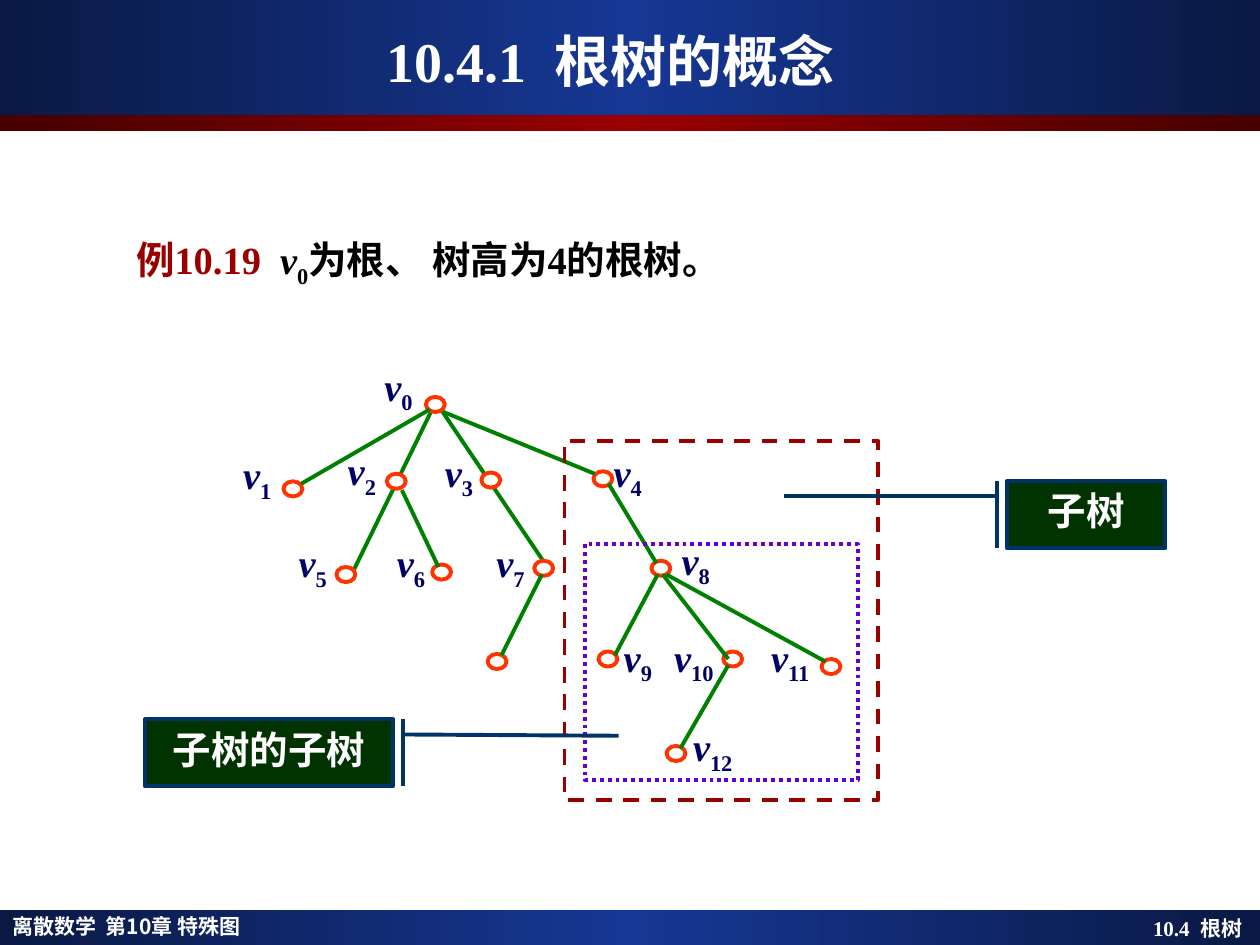
import copy
from dataclasses import dataclass

import lxml.etree
import pptx
import pptx.dml.color
import pptx.enum.dml
import pptx.enum.shapes
import pptx.enum.text
import pptx.oxml.ns
import pptx.util

Inches = pptx.util.Inches
Pt = pptx.util.Pt
SHAPE = pptx.enum.shapes.MSO_SHAPE
ALIGN = pptx.enum.text.PP_ALIGN
ANCHOR = pptx.enum.text.MSO_ANCHOR
DASH = pptx.enum.dml.MSO_LINE
qn = pptx.oxml.ns.qn

COLORS = {
    "navy": "0A1944", "blue": "163794", "maroon": "460000", "red": "990000",
    "white": "FFFFFF", "black": "000000", "label": "000066", "edge": "008000",
    "ring": "FF3300", "dots": "6600CC", "green": "003300", "frame": "003366",
}
ROMAN = "Times New Roman"
HAN = "Noto Sans CJK SC"
HAN_JP = "Noto Sans CJK JP"


@dataclass
class Piece:
    text: str
    color: str = "white"
    size: float = 22
    font: str = ROMAN
    slant: bool = False
    low: bool = False


@dataclass
class Band:
    top: float
    height: float
    rim: str
    core: str


@dataclass
class Node:
    left: float
    top: float


@dataclass
class Label:
    left: float
    top: float
    index: str


@dataclass
class Edge:
    x1: float
    y1: float
    x2: float
    y2: float


@dataclass
class Frame:
    box: tuple[float, float, float, float]
    color: str
    dash: DASH


@dataclass
class Callout:
    text: str
    box: tuple[float, float, float, float]
    start: tuple[float, float]
    end: tuple[float, float]


BANDS = [
    Band(7.22, 0.28, "navy", "blue"),
    Band(0, 0.91, "navy", "blue"),
    Band(0.91, 0.13, "maroon", "red"),
]
LONG = [Edge(3.42, 3.27, 2.8, 4.54), Edge(3.5, 3.25, 4.33, 4.48)]
SHORT = [
    Edge(3.41, 3.25, 2.39, 3.84), Edge(3.19, 3.89, 3.48, 4.5),
    Edge(3.52, 3.27, 4.72, 3.76), Edge(4.3, 4.56, 3.98, 5.2),
    Edge(4.83, 3.84, 5.21, 4.47), Edge(5.22, 4.56, 4.88, 5.2),
    Edge(5.26, 4.56, 5.78, 5.23), Edge(5.29, 4.56, 6.55, 5.25),
    Edge(5.78, 5.28, 5.4, 5.94),
]
NODES = [
    Node(3.38, 3.15), Node(2.25, 3.82), Node(3.07, 3.76), Node(3.82, 3.75),
    Node(4.71, 3.74), Node(2.67, 4.5), Node(3.43, 4.48), Node(4.24, 4.45),
    Node(5.17, 4.45), Node(3.87, 5.19), Node(4.75, 5.17), Node(5.74, 5.17),
    Node(6.52, 5.23), Node(5.29, 5.92),
]
LABELS = [
    Label(2.97, 2.88, "0"), Label(1.85, 3.58, "1"), Label(2.68, 3.55, "2"),
    Label(3.45, 3.56, "3"), Label(4.79, 3.56, "4"), Label(2.29, 4.28, "5"),
    Label(3.07, 4.28, "6"), Label(3.86, 4.28, "7"), Label(5.33, 4.26, "8"),
    Label(4.87, 5.03, "9"), Label(5.27, 5.03, "10"), Label(6.04, 5.03, "11"),
    Label(5.42, 5.74, "12"),
]
FRAMES = [
    Frame((4.64, 4.32, 2.17, 1.87), "dots", DASH.ROUND_DOT),
    Frame((4.48, 3.5, 2.49, 2.85), "red", DASH.DASH),
]
CALLOUTS = [
    Callout("子树", (7.99, 3.82, 1.26, 0.53), (7.91, 3.94), (6.22, 3.94)),
    Callout("子树的子树", (1.15, 5.71, 1.97, 0.53), (3.2, 5.83), (4.91, 5.84)),
]


def tint(name: str) -> pptx.dml.color.RGBColor:
    return pptx.dml.color.RGBColor.from_string(COLORS[name])


def add_shape(slide, kind, box, fill=None, line=None):
    shape = slide.shapes.add_shape(kind, *map(Inches, box))
    shape.shadow.inherit = False
    if fill:
        shape.fill.solid()
        shape.fill.fore_color.rgb = tint(fill)
    else:
        shape.fill.background()
    if line:
        shape.line.color.rgb = tint(line)
        shape.line.width = Pt(2.25)
    else:
        shape.line.fill.background()
    return shape


def write(frame, pieces: list[Piece], align=ALIGN.LEFT, space: float = 1.0,
          pads=(0.1, 0.05, 0.1, 0.05), anchor=ANCHOR.TOP) -> None:
    frame.word_wrap = True
    frame.vertical_anchor = anchor
    (frame.margin_left, frame.margin_top,
     frame.margin_right, frame.margin_bottom) = map(Inches, pads)
    para = frame.paragraphs[0]
    para.alignment = align
    para.line_spacing = space
    for piece in pieces:
        run = para.add_run()
        run.text = piece.text
        font = run.font
        font.size = Pt(piece.size)
        font.name = piece.font
        font.bold = True
        font.italic = piece.slant
        font.color.rgb = tint(piece.color)
        props = run._r.get_or_add_rPr()
        face = HAN if piece.font == ROMAN else piece.font
        lxml.etree.SubElement(props, qn("a:ea")).set("typeface", face)
        if piece.low:
            props.set("baseline", "-25000")


def add_text(slide, box, pieces: list[Piece], **style) -> None:
    write(slide.shapes.add_textbox(*map(Inches, box)).text_frame, pieces, **style)


def add_band(slide, band: Band) -> None:
    shape = add_shape(slide, SHAPE.RECTANGLE, (0, band.top, 10, band.height))
    shape.fill.gradient()
    shape.fill.gradient_angle = 0
    stops = shape._element.spPr.find(".//" + qn("a:gsLst"))
    stops.insert(1, copy.deepcopy(stops[0]))
    names = (band.rim, band.core, band.rim)
    for stop, name, place in zip(shape.fill.gradient_stops, names, (0, 0.5, 1)):
        stop.color.rgb = tint(name)
        stop.position = place


def add_edge(slide, edge: Edge) -> None:
    ends = map(Inches, (edge.x1, edge.y1, edge.x2, edge.y2))
    line = slide.shapes.add_connector(pptx.enum.shapes.MSO_CONNECTOR.STRAIGHT, *ends)
    line.line.color.rgb = tint("edge")
    line.line.width = Pt(2.25)
    lxml.etree.SubElement(line._element.spPr, qn("a:effectLst"))


def add_callout(slide, call: Callout) -> None:
    kind = SHAPE.LINE_CALLOUT_1_BORDER_AND_ACCENT_BAR
    shape = add_shape(slide, kind, call.box, "green", "frame")
    left, top, width, height = call.box
    for i, (x, y) in enumerate((call.start, call.end)):
        shape.adjustments[2 * i] = (y - top) / height
        shape.adjustments[2 * i + 1] = (x - left) / width
    write(shape.text_frame, [Piece(call.text, font=HAN)], align=ALIGN.CENTER)


def main() -> None:
    deck = pptx.Presentation()
    deck.slide_width, deck.slide_height = Inches(10), Inches(7.5)
    slide = deck.slides.add_slide(deck.slide_layouts[6])
    for band in BANDS:
        add_band(slide, band)
    add_text(slide, (0, 7.22, 4.13, 0.28),
             [Piece("离散数学  第10章 特殊图", size=12, font=HAN_JP)], space=0.9)
    add_text(slide, (0.33, 0.17, 9.25, 0.62), [Piece("10.4.1  根树的概念", size=32)],
             align=ALIGN.CENTER, pads=(0.1, 0.05, 0.32, 0.05), anchor=ANCHOR.MIDDLE)
    add_text(slide, (7.44, 7.22, 2.56, 0.3), [Piece("10.4  根树", size=12)],
             align=ALIGN.RIGHT, pads=(0.1, 0.05, 0.14, 0.05))
    add_text(slide, (0.83, 1.7, 7.72, 0.64),
             [Piece("例10.19  ", "red"), Piece("v", "black", slant=True),
              Piece("0", "black", low=True), Piece("为根、 树高为4的根树。", "black")],
             space=1.3, pads=(0.25, 0.05, 0.1, 0.05))
    for edge in LONG:
        add_edge(slide, edge)
    for node in NODES:
        add_shape(slide, SHAPE.OVAL, (node.left, node.top, 0.15, 0.12), "white", "ring")
    for edge in SHORT:
        add_edge(slide, edge)
    for frame in FRAMES:
        shape = add_shape(slide, SHAPE.RECTANGLE, frame.box, line=frame.color)
        shape.line.dash_style = frame.dash
    for label in LABELS:
        add_text(slide, (label.left, label.top, 0.65, 0.42),
                 [Piece("v", "label", slant=True), Piece(label.index, "label", low=True)],
                 pads=(0.08, 0, 0, 0))
    for call in CALLOUTS:
        add_callout(slide, call)
    deck.save("out.pptx")


if __name__ == "__main__":
    main()
